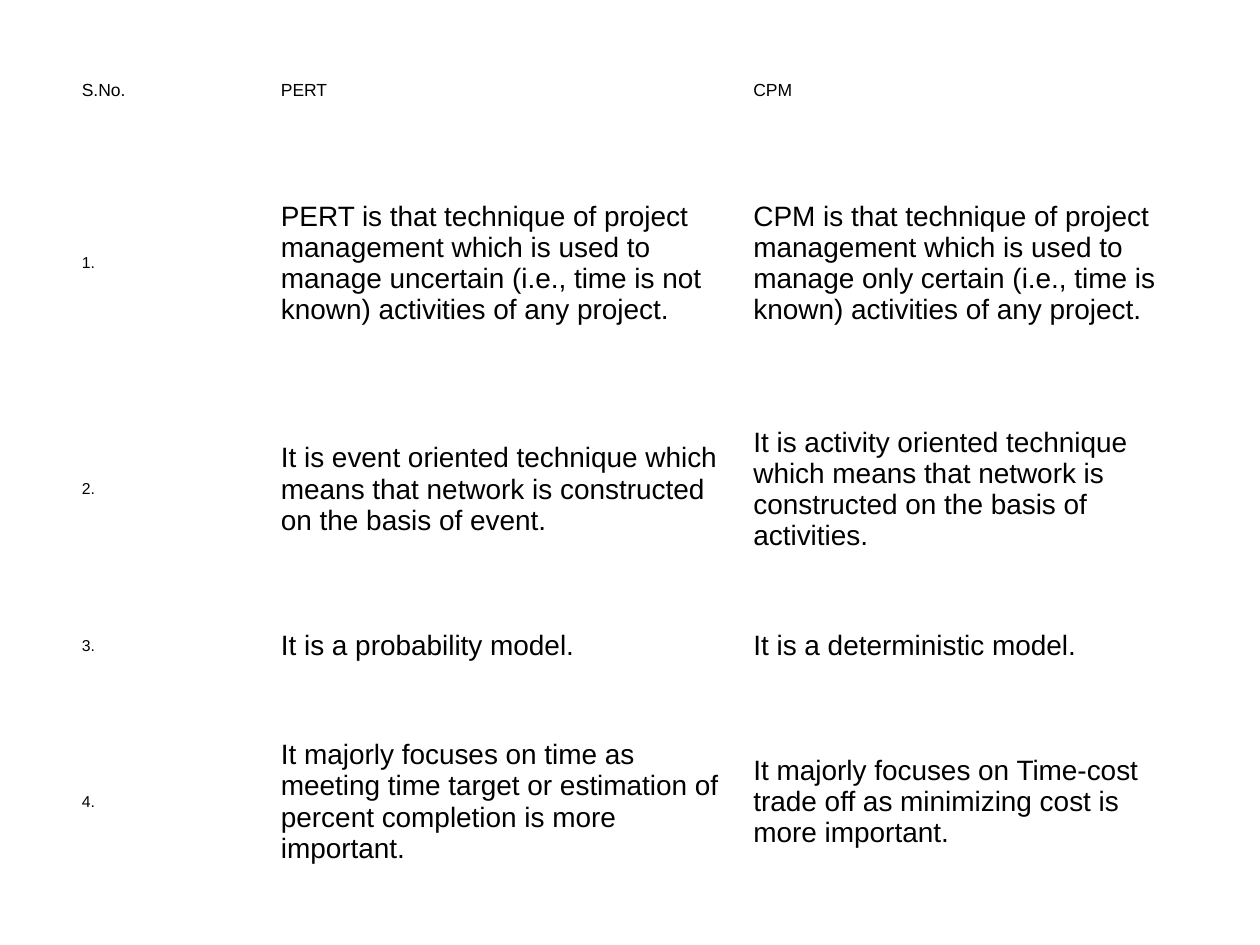
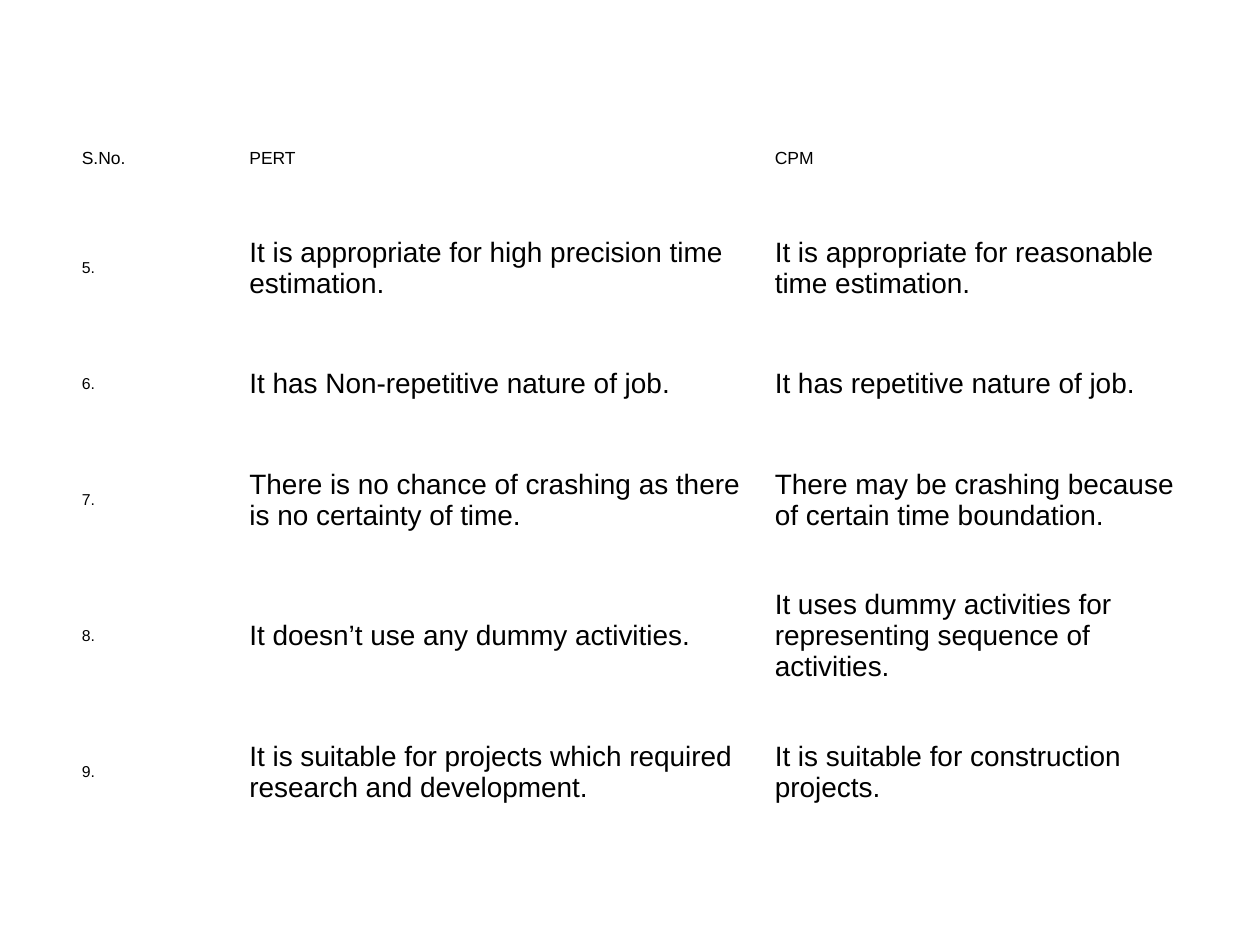
import pptx
import pptx.dml.color
import pptx.enum.text
import pptx.util

Inches = pptx.util.Inches
Pt = pptx.util.Pt

COLORS = {"background": "FFFFFF", "text": "000000"}
HEADER = ("S.No.", "PERT", "CPM")
TABLE_LEFT = 0.58
BLANK_LAYOUT = 6

FIRST_ROWS = [
    ("PERT is that technique of project management which is used to manage "
     "uncertain (i.e., time is not known) activities of any project.",
     "CPM is that technique of project management which is used to manage "
     "only certain (i.e., time is known) activities of any project."),
    ("It is event oriented technique which means that network is constructed "
     "on the basis of event.",
     "It is activity oriented technique which means that network is constructed "
     "on the basis of activities."),
    ("It is a probability model.", "It is a deterministic model."),
    ("It majorly focuses on time as meeting time target or estimation of "
     "percent completion is more important.",
     "It majorly focuses on Time-cost trade off as minimizing cost is more important."),
]

SECOND_ROWS = [
    ("It is appropriate for high precision time estimation.",
     "It is appropriate for reasonable time estimation."),
    ("It has Non-repetitive nature of job.", "It has repetitive nature of job."),
    ("There is no chance of crashing as there is no certainty of time.",
     "There may be crashing because of certain time boundation."),
    ("It doesn’t use any dummy activities.",
     "It uses dummy activities for representing sequence of activities."),
    ("It is suitable for projects which required research and development.",
     "It is suitable for construction projects."),
]


class ComparisonDeck:
    font_name = "Arial"
    header_size, number_size, body_size = 10, 9, 16
    side_margin, header_margin, body_margin = 0.07, 0.07, 0.1

    def __init__(self):
        self.presentation = pptx.Presentation()
        self.presentation.slide_width = Inches(10)
        self.presentation.slide_height = Inches(7.5)
        self.slide = None

    def color(self, name):
        return pptx.dml.color.RGBColor.from_string(COLORS[name])

    def add_slide(self):
        layout = self.presentation.slide_layouts[BLANK_LAYOUT]
        self.slide = self.presentation.slides.add_slide(layout)
        fill = self.slide.background.fill
        fill.solid()
        fill.fore_color.rgb = self.color("background")

    def fill_cell(self, cell, text, size, vertical_margin):
        cell.fill.background()
        cell.vertical_anchor = pptx.enum.text.MSO_ANCHOR.MIDDLE
        cell.margin_left = cell.margin_right = Inches(self.side_margin)
        cell.margin_top = cell.margin_bottom = Inches(vertical_margin)
        run = cell.text_frame.paragraphs[0].add_run()
        run.text = text
        run.font.name = self.font_name
        run.font.size = Pt(size)
        run.font.color.rgb = self.color("text")

    def add_comparison(self, top, widths, heights, rows, first_number):
        frame = self.slide.shapes.add_table(
            len(heights), len(widths), Inches(TABLE_LEFT), Inches(top),
            Inches(sum(widths)), Inches(sum(heights)))
        table = frame.table
        table.first_row = False
        table.horz_banding = False
        for column, width in zip(table.columns, widths):
            column.width = Inches(width)
        for row, height in zip(table.rows, heights):
            row.height = Inches(height)
        for column_index, label in enumerate(HEADER):
            self.fill_cell(table.cell(0, column_index), label,
                           self.header_size, self.header_margin)
        for row_index, statements in enumerate(rows, 1):
            number = f"{first_number + row_index - 1}."
            self.fill_cell(table.cell(row_index, 0), number,
                           self.number_size, self.body_margin)
            for column_index, statement in enumerate(statements, 1):
                self.fill_cell(table.cell(row_index, column_index), statement,
                               self.body_size, self.body_margin)


def main():
    deck = ComparisonDeck()
    deck.add_slide()
    deck.add_comparison(0.33, (1.58, 3.75, 3.42),
                        (0.77, 1.98, 1.61, 0.87, 1.61), FIRST_ROWS, 1)
    deck.add_slide()
    deck.add_comparison(0.92, (1.33, 4.17, 3.33),
                        (0.67, 1.08, 0.76, 1.08, 1.08, 1.08),
                        SECOND_ROWS, len(FIRST_ROWS) + 1)
    deck.presentation.save("out.pptx")


if __name__ == "__main__":
    main()
